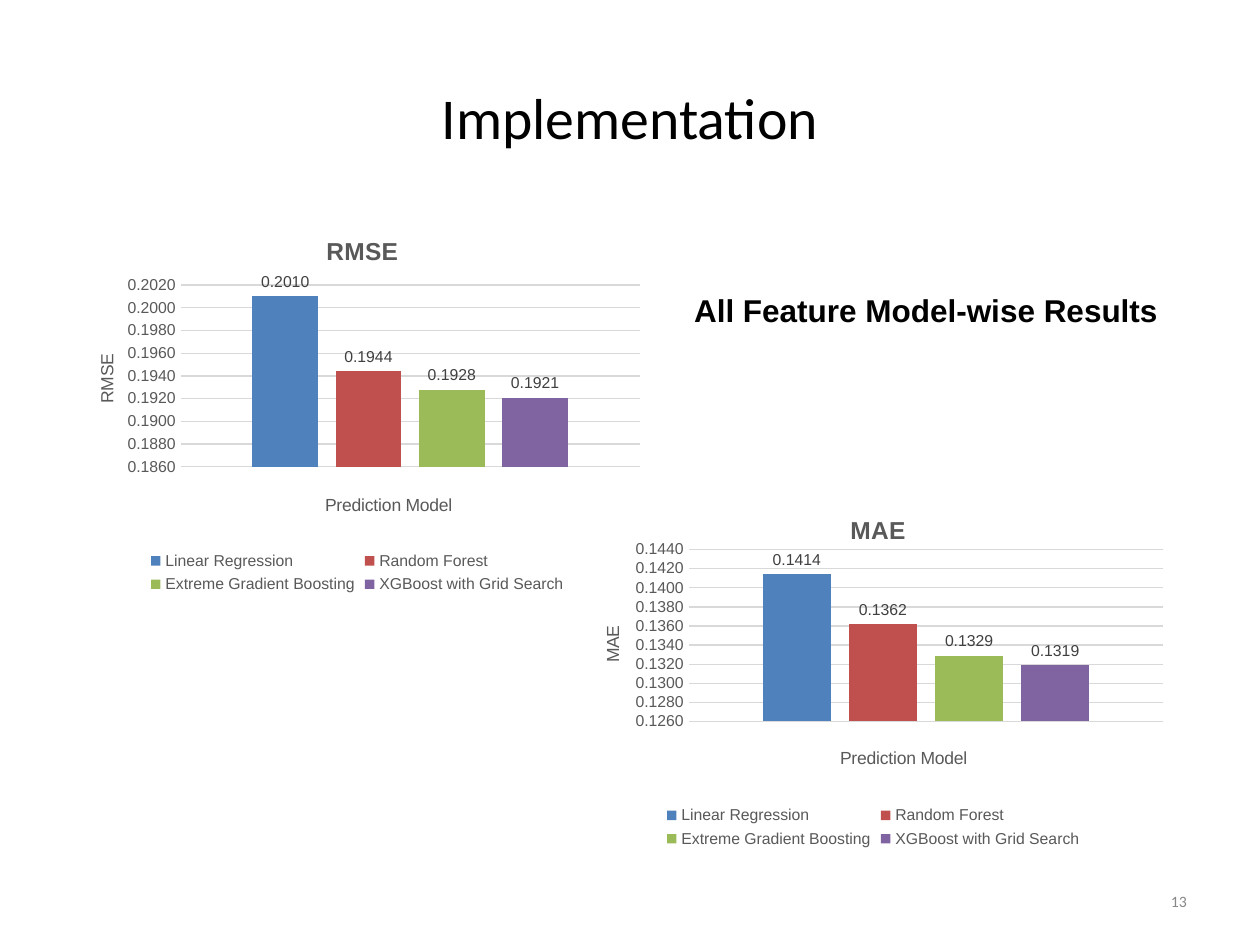
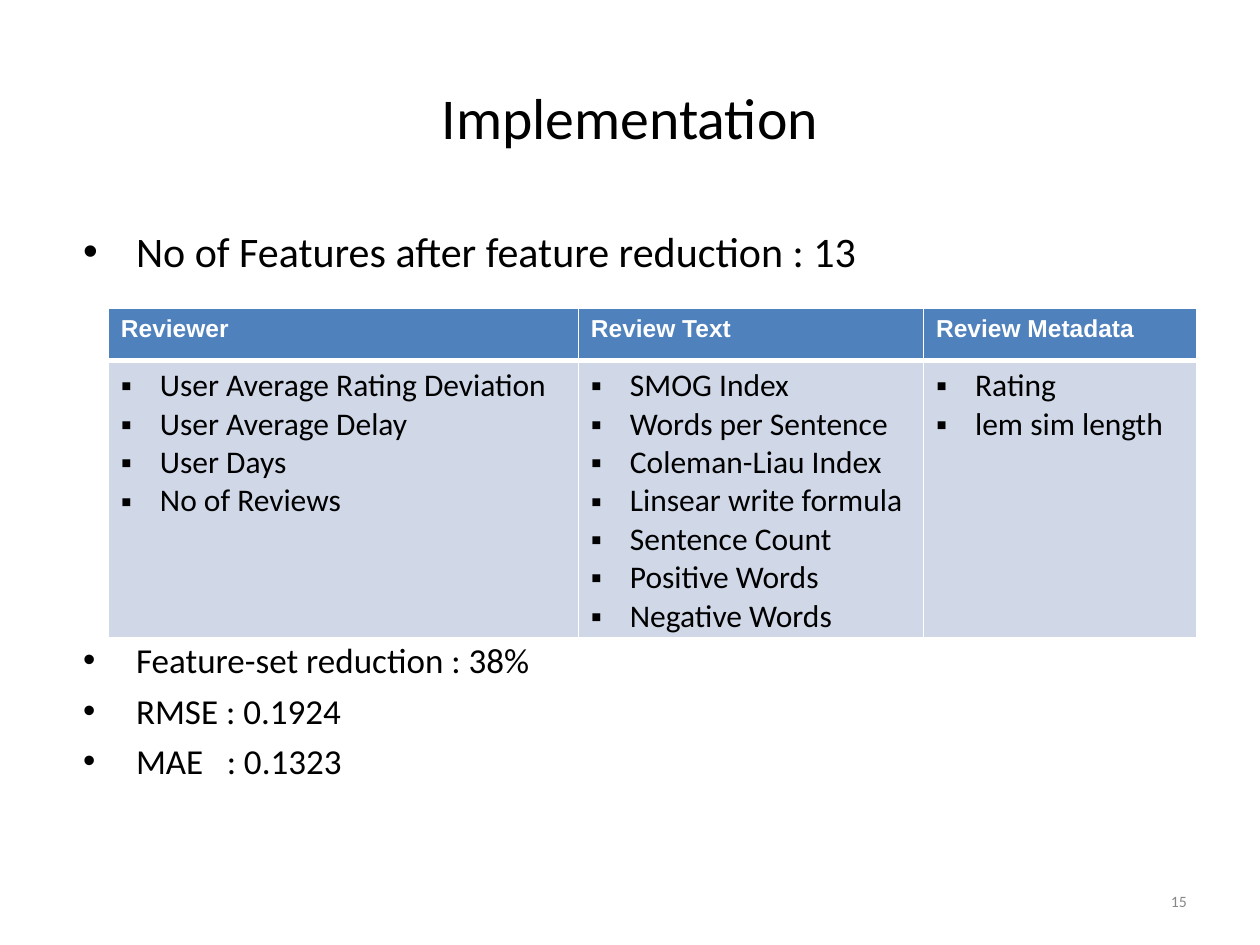
from dataclasses import dataclass
from typing import Any

from lxml.etree import SubElement
from pptx import Presentation
from pptx.chart.data import CategoryChartData
from pptx.dml.color import RGBColor
from pptx.enum.chart import XL_CHART_TYPE, XL_LABEL_POSITION, XL_LEGEND_POSITION, XL_TICK_MARK
from pptx.enum.text import MSO_ANCHOR, PP_ALIGN
from pptx.oxml.ns import qn
from pptx.util import Inches, Pt


@dataclass(frozen=True)
class Theme:
    """Colours, fonts and type sizes shared by the slides."""
    black: str = "000000"
    white: str = "FFFFFF"
    page_number: str = "888888"
    chart_text: str = "595959"
    label_text: str = "404040"
    grid: str = "D9D9D9"
    header_fill: str = "4F81BD"
    body_fill: str = "D0D8E8"
    models: tuple[str, ...] = ("4F81BD", "C0504D", "9BBB59", "8064A2")
    heading_font: str = "Calibri"
    data_font: str = "Arial"
    title_size: float = 33
    lead_size: float = 24
    body_size: float = 20
    item_size: float = 18
    small_head_size: float = 14
    axis_title_size: float = 10
    chart_size: float = 9


THEME = Theme()
MODELS = ("Linear Regression", "Random Forest", "Extreme Gradient Boosting", "XGBoost with Grid Search")


@dataclass(frozen=True)
class Style:
    """Look of a run of text."""
    size: float
    font: str = THEME.heading_font
    color: str = THEME.black
    bold: bool = False


@dataclass(frozen=True)
class Box:
    """Place on the slide in inches."""
    left: float
    top: float
    width: float
    height: float

    def emu(self) -> tuple[int, ...]:
        """Return the place as lengths."""
        return tuple(Inches(v) for v in (self.left, self.top, self.width, self.height))


@dataclass(frozen=True)
class ErrorChart:
    """One error metric for all models; inner places are fractions of the chart."""
    metric: str
    box: Box
    errors: tuple[float, ...]
    low: float
    high: float
    plot: tuple[float, ...]
    title_at: tuple[float, ...]
    value_title_at: tuple[float, ...]
    category_title_at: tuple[float, ...]


@dataclass(frozen=True)
class FeatureGroup:
    """One column of the feature table."""
    heading: str
    width: float
    features: tuple[str, ...]


@dataclass(frozen=True)
class Finding:
    """One bullet of the reduction summary."""
    text: str
    size: float = THEME.body_size
    gap: float = 5


ERROR_CHARTS = (
    ErrorChart("RMSE", Box(0.5, 1.68, 4.67, 3.07), (0.2010, 0.1944, 0.1928, 0.1921), 0.186, 0.202,
               (0.2, 0.19, 0.78, 0.47), (0.44, 0.05), (0.05, 0.36), (0.44, 0.72)),
    ErrorChart("MAE", Box(4.53, 3.87, 4.8, 2.9), (0.1414, 0.1362, 0.1329, 0.1319), 0.126, 0.144,
               (0.195, 0.17, 0.785, 0.47), (0.455, 0.06), (0.045, 0.37), (0.44, 0.7)),
)
FEATURE_GROUPS = (
    FeatureGroup("Reviewer", 3.73, ("User Average Rating Deviation", "User Average Delay",
                                    "User Days", "No of Reviews")),
    FeatureGroup("Review Text", 2.74, ("SMOG Index", "Words per Sentence", "Coleman-Liau Index",
                                       "Linsear write formula", "Sentence Count",
                                       "Positive Words", "Negative Words")),
    FeatureGroup("Review Metadata", 2.17, ("Rating", "lem sim length")),
)
FINDINGS = (
    Finding("No of Features after feature reduction : 13", THEME.lead_size),
    Finding("Feature-set reduction : 38%", gap=207),
    Finding("RMSE : 0.1924"),
    Finding("MAE\t: 0.1323"),
)


def style_font(font: Any, style: Style) -> None:
    """Apply a style to a font."""
    font.size, font.name, font.bold = Pt(style.size), style.font, style.bold
    font.color.rgb = RGBColor.from_string(style.color)


def add_run(paragraph: Any, text: str, style: Style) -> None:
    """Add one styled run."""
    run = paragraph.add_run()
    run.text = text
    style_font(run.font, style)


def add_frame(slide: Any, box: Box, anchor: MSO_ANCHOR = MSO_ANCHOR.TOP) -> Any:
    """Add a wrapping text box with narrow insets."""
    frame = slide.shapes.add_textbox(*box.emu()).text_frame
    frame.word_wrap, frame.vertical_anchor = True, anchor
    frame.margin_left = frame.margin_right = Inches(0.08)
    frame.margin_top = frame.margin_bottom = Inches(0.04)
    return frame


def add_bullet(paragraph: Any, mark: str, margin: float, hang: float) -> None:
    """Give a paragraph a hanging bullet."""
    props = paragraph._p.get_or_add_pPr()
    props.set("marL", str(Inches(margin)))
    props.set("indent", str(-Inches(hang)))
    SubElement(SubElement(props, qn("a:buClr")), qn("a:srgbClr"), val=THEME.black)
    SubElement(props, qn("a:buFont"), typeface=THEME.data_font)
    SubElement(props, qn("a:buChar"), char=mark)


def add_page(deck: Any, number: int) -> Any:
    """Add a slide with the shared title and page number."""
    slide = deck.slides.add_slide(deck.slide_layouts[6])
    title = add_frame(slide, Box(0.5, 0.3, 9, 1.25), MSO_ANCHOR.MIDDLE).paragraphs[0]
    title.alignment = PP_ALIGN.CENTER
    add_run(title, "Implementation", Style(THEME.title_size))
    page = add_frame(slide, Box(7.17, 6.95, 2.33, 0.4), MSO_ANCHOR.MIDDLE).paragraphs[0]
    page.alignment = PP_ALIGN.RIGHT
    add_run(page, str(number), Style(THEME.chart_size, color=THEME.page_number))
    return slide


def place_part(part: Any, place: tuple[float, ...], inner: bool = False) -> None:
    """Set the manual layout of a chart part."""
    for old in part.findall(qn("c:layout")):
        part.remove(old)
    layout = part.makeelement(qn("c:layout"))
    part.insert(0 if part.find(qn("c:tx")) is None else 1, layout)
    manual = SubElement(layout, qn("c:manualLayout"))
    if inner:
        SubElement(manual, qn("c:layoutTarget"), val="inner")
    for name in ("xMode", "yMode"):
        SubElement(manual, qn(f"c:{name}"), val="edge")
    for name, value in zip("xywh", place):
        SubElement(manual, qn(f"c:{name}"), val=str(value))


def add_chart_title(title: Any, text: str, size: float, place: tuple[float, ...],
                    bold: bool = False, turn: int = 0) -> None:
    """Write and place a chart or axis title, turned by degrees."""
    frame = title.text_frame
    add_run(frame.paragraphs[0], text, Style(size, THEME.data_font, THEME.chart_text, bold))
    frame._txBody.bodyPr.set("rot", str(turn * 60000))
    frame._txBody.bodyPr.set("vert", "horz")
    place_part(title._element, place)


def add_error_chart(slide: Any, spec: ErrorChart) -> None:
    """Draw one metric as clustered columns, one series per model."""
    data = CategoryChartData(number_format="0.0000")
    data.categories = ["1"]
    for model, error in zip(MODELS, spec.errors):
        data.add_series(model, [error])
    chart = slide.shapes.add_chart(XL_CHART_TYPE.COLUMN_CLUSTERED, *spec.box.emu(), data).chart
    chart_style = Style(THEME.chart_size, THEME.data_font, THEME.chart_text)
    style_font(chart.font, chart_style)
    chart.has_title = chart.has_legend = True
    add_chart_title(chart.chart_title, spec.metric, THEME.small_head_size, spec.title_at, True)
    chart.legend.position = XL_LEGEND_POSITION.BOTTOM
    chart.legend.include_in_layout = False
    style_font(chart.legend.font, chart_style)

    models, errors = chart.category_axis, chart.value_axis
    models.visible = False
    add_chart_title(models.axis_title, "Prediction Model", THEME.axis_title_size, spec.category_title_at)
    add_chart_title(errors.axis_title, spec.metric, THEME.axis_title_size, spec.value_title_at, turn=-90)
    errors.minimum_scale, errors.maximum_scale, errors.major_unit = spec.low, spec.high, 0.002
    errors.major_tick_mark = errors.minor_tick_mark = XL_TICK_MARK.NONE
    errors.tick_labels.number_format = "0.0000"
    errors.tick_labels.number_format_is_linked = False
    style_font(errors.tick_labels.font, chart_style)
    errors.format.line.fill.background()
    grid = errors.major_gridlines.format.line
    grid.width, grid.color.rgb = Pt(0.75), RGBColor.from_string(THEME.grid)

    plot = chart.plots[0]
    plot.gap_width, plot.overlap, plot.vary_by_categories = 219, -27, False
    for series, color in zip(plot.series, THEME.models):
        series.format.fill.solid()
        series.format.fill.fore_color.rgb = RGBColor.from_string(color)
        labels = series.data_labels
        labels.show_value, labels.position = True, XL_LABEL_POSITION.OUTSIDE_END
        labels.number_format, labels.number_format_is_linked = "0.0000", False
        style_font(labels.font, Style(THEME.chart_size, THEME.data_font, THEME.label_text))
    place_part(chart._chartSpace.chart.plotArea, spec.plot, inner=True)


def paint_cell(cell: Any, color: str, bottom: float) -> None:
    """Give a cell white borders and a fill."""
    props = cell._tc.get_or_add_tcPr()
    for side, width in (("L", 1), ("R", 1), ("T", 1), ("B", bottom)):
        line = SubElement(props, qn(f"a:ln{side}"), w=str(Pt(width)))
        SubElement(SubElement(line, qn("a:solidFill")), qn("a:srgbClr"), val=THEME.white)
    cell.fill.solid()
    cell.fill.fore_color.rgb = RGBColor.from_string(color)


def add_feature_table(slide: Any) -> None:
    """Draw the remaining features by group."""
    table = slide.shapes.add_table(2, len(FEATURE_GROUPS), *Box(0.86, 2.45, 8.64, 2.61).emu()).table
    table.rows[0].height, table.rows[1].height = Inches(0.41), Inches(2.2)
    for index, group in enumerate(FEATURE_GROUPS):
        table.columns[index].width = Inches(group.width)
        heading, features = table.cell(0, index), table.cell(1, index)
        paint_cell(heading, THEME.header_fill, 3)
        paint_cell(features, THEME.body_fill, 1)
        add_run(heading.text_frame.paragraphs[0], group.heading,
                Style(THEME.small_head_size, THEME.data_font, THEME.white, True))
        for row, feature in enumerate(group.features):
            frame = features.text_frame
            paragraph = frame.add_paragraph() if row else frame.paragraphs[0]
            add_bullet(paragraph, "▪", 0.31, 0.31)
            add_run(paragraph, feature, Style(THEME.item_size))


def add_findings(slide: Any) -> None:
    """Write the bullets above and below the feature table."""
    frame = add_frame(slide, Box(0.5, 1.75, 9, 4.95))
    for row, finding in enumerate(FINDINGS):
        paragraph = frame.add_paragraph() if row else frame.paragraphs[0]
        paragraph.space_before = Pt(finding.gap)
        add_bullet(paragraph, "•", 0.5, 0.42)
        if "\t" in finding.text:
            stops = SubElement(paragraph._p.pPr, qn("a:tabLst"))
            SubElement(stops, qn("a:tab"), pos=str(Inches(1.22)), algn="l")
        add_run(paragraph, finding.text, Style(finding.size))


def main() -> None:
    """Build both slides and save them."""
    deck = Presentation()
    deck.slide_width, deck.slide_height = Inches(10), Inches(7.5)
    results = add_page(deck, 13)
    caption = results.shapes.add_textbox(*Box(5.41, 2.26, 3.92, 0.4).emu()).text_frame
    caption.word_wrap = False
    add_run(caption.paragraphs[0], "All Feature Model-wise Results",
            Style(THEME.item_size, THEME.data_font, bold=True))
    for spec in ERROR_CHARTS:
        add_error_chart(results, spec)
    reduction = add_page(deck, 15)
    add_findings(reduction)
    add_feature_table(reduction)
    deck.save("out.pptx")


if __name__ == "__main__":
    main()
